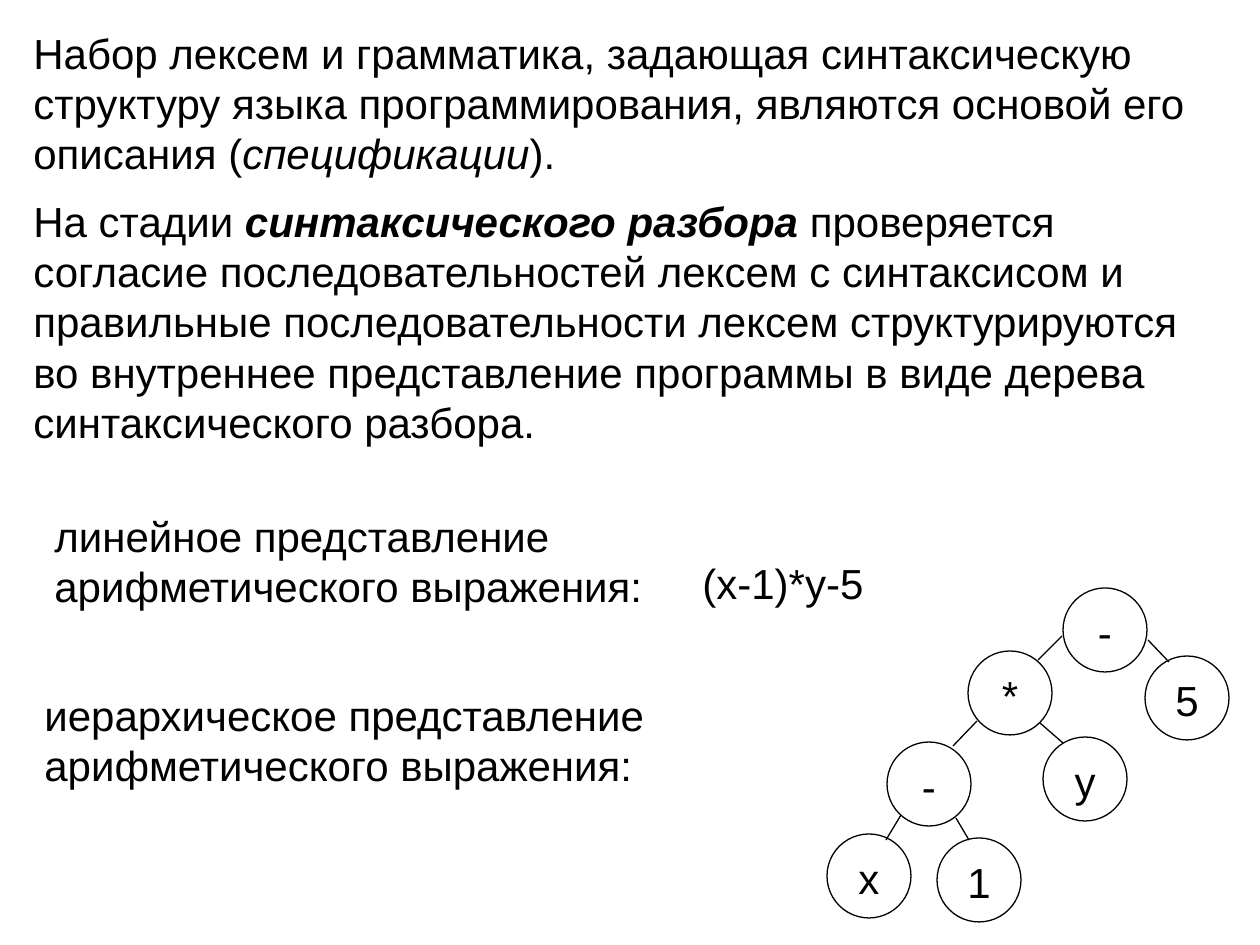
from lxml import etree
from pptx import Presentation
from pptx.dml.color import RGBColor
from pptx.enum.shapes import MSO_CONNECTOR as Connector, MSO_SHAPE as Shape
from pptx.enum.text import MSO_ANCHOR as Anchor, PP_ALIGN as Align
from pptx.oxml.ns import qn
from pptx.util import Pt

# Content: (left, top, width, height), runs as (text, bold, italic)
TEXTS = [
    ((21, 21, 1218, 164), [
        ("Набор лексем и грамматика, задающая синтаксическую структуру языка "
         "программирования, являются основой его описания (", False, False),
        ("спецификации", False, True),
        (").", False, False)]),
    ((21, 189, 1218, 265), [
        ("На стадии ", False, False),
        ("синтаксического разбора", True, True),
        (" проверяется согласие последовательностей лексем с синтаксисом и "
         "правильные последовательности лексем структурируются во внутреннее "
         "представление программы в виде дерева синтаксического разбора.",
         False, False)]),
    ((690, 551, 199, 63), [("(x-1)*y-5", False, False)]),
    ((42, 504, 672, 113),
     [("линейное представление арифметического выражения:", False, False)]),
    ((32, 683, 714, 113),
     [("иерархическое представление арифметического выражения:", False, False)]),
]

# Tree nodes: symbol, left, top
NODE_SIZE = 84
NODES = [
    ("-", 1063, 588), ("5", 1145, 656), ("*", 968, 651), ("y", 1043, 737),
    ("-", 887, 742), ("1", 937, 838), ("x", 827, 834),
]
# Tree branches: from x, from y, to x, to y
BRANCHES = [
    (1148, 640, 1169, 662), (1062, 636, 1038, 660),
    (1040, 723, 1063, 743), (977, 721, 953, 746),
    (901, 815, 886, 840), (956, 818, 969, 840),
]

PX_PER_INCH = 126
BLACK, WHITE = "000000", "FFFFFF"


def px(*lengths):
    return [round(length * 914400 / PX_PER_INCH) for length in lengths]


def color(value):
    return RGBColor.from_string(value)


def write(shape, runs, align=Align.LEFT):
    frame = shape.text_frame
    frame.word_wrap = True
    frame.vertical_anchor = Anchor.TOP
    paragraph = frame.paragraphs[0]
    paragraph.alignment = align
    paragraph.line_spacing = Pt(28.8)
    for text, bold, italic in runs:
        run = paragraph.add_run()
        run.text = text
        font = run.font
        font.name, font.size = "Arial", Pt(24)
        font.bold, font.italic = bold, italic
        font.color.rgb = color(BLACK)


def outline(shape):
    shape.line.color.rgb = color(BLACK)
    shape.line.width = Pt(0.75)


presentation = Presentation()
presentation.slide_width, presentation.slide_height = px(1260, 945)
slide = presentation.slides.add_slide(presentation.slide_layouts[6])

# Syntax tree
tree = slide.shapes.add_group_shape()
for symbol, left, top in NODES:
    node = tree.shapes.add_shape(Shape.FLOWCHART_CONNECTOR,
                                 *px(left, top, NODE_SIZE, NODE_SIZE))
    node.shadow.inherit = False
    node.fill.solid()
    node.fill.fore_color.rgb = color(WHITE)
    outline(node)
    write(node, [(symbol, False, False)], align=Align.CENTER)
for ends in BRANCHES:
    branch = tree.shapes.add_connector(Connector.STRAIGHT, *px(*ends))
    outline(branch)
    etree.SubElement(branch._element.spPr, qn("a:effectLst"))

# Paragraphs and labels
for box, runs in TEXTS:
    write(slide.shapes.add_textbox(*px(*box)), runs)

presentation.save("out.pptx")
